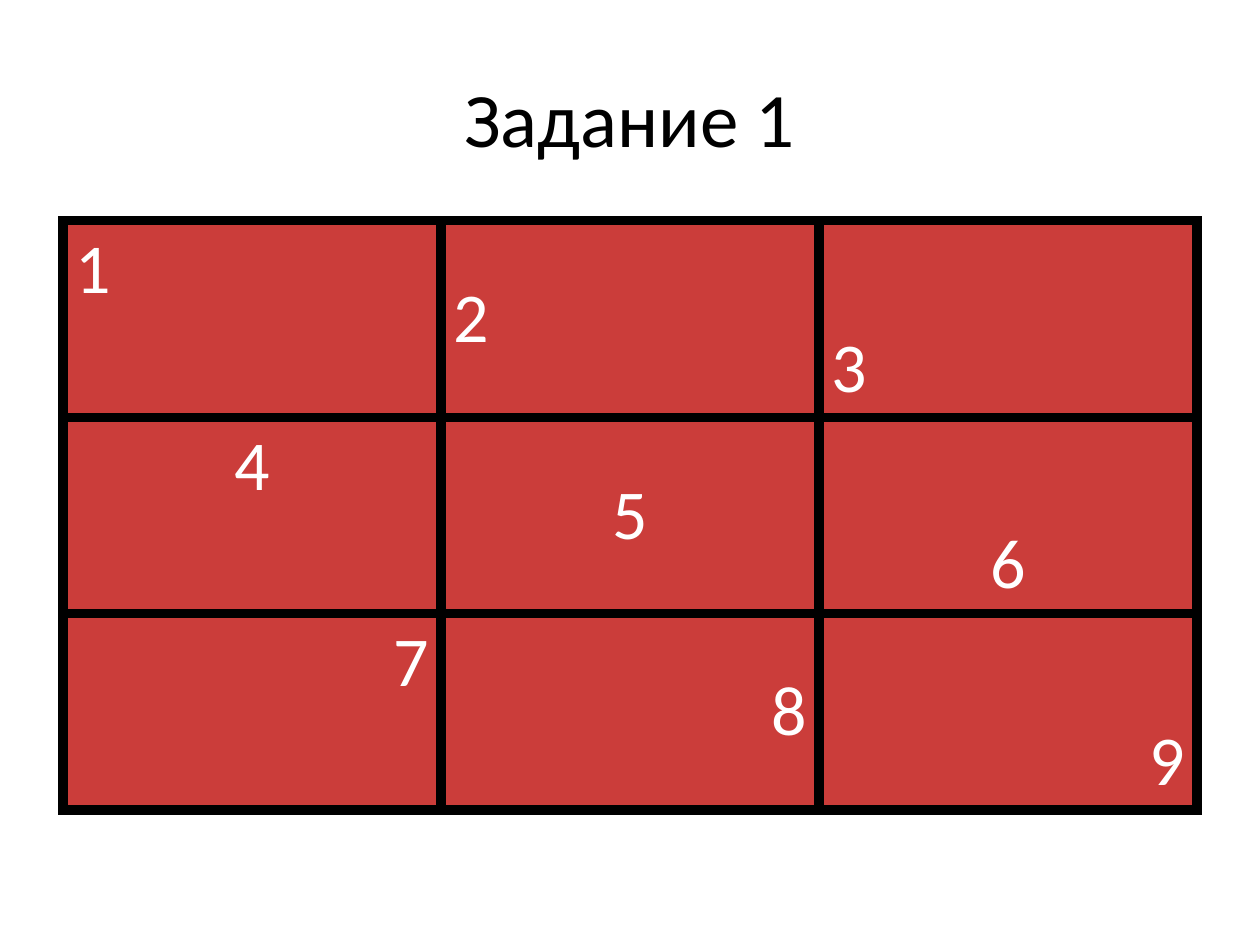
"""Build a task slide with a three by three grid of aligned numbers."""
from lxml import etree
from pptx import Presentation
from pptx import util as u
from pptx.dml.color import RGBColor
from pptx.enum import text
from pptx.oxml import ns

BLACK = RGBColor(0, 0, 0)
WHITE = RGBColor(255, 255, 255)
RED = RGBColor(0xCB, 0x3D, 0x3A)
FONT = "Calibri"
SIDES = ("lnL", "lnR", "lnT", "lnB")
ROWS = (text.PP_ALIGN.LEFT, text.PP_ALIGN.CENTER, text.PP_ALIGN.RIGHT)
COLS = (text.MSO_ANCHOR.TOP, text.MSO_ANCHOR.MIDDLE, text.MSO_ANCHOR.BOTTOM)


def add_run(para, words, size, color, align):
    para.alignment = align
    run = para.add_run()
    run.text = words
    run.font.name = FONT
    run.font.size = u.Pt(size)
    run.font.color.rgb = color


def add_edge(cell, color, width):
    props = cell._tc.get_or_add_tcPr()
    for side in SIDES:
        line = etree.SubElement(props, ns.qn(f"a:{side}"), w=str(u.Pt(width)))
        fill = etree.SubElement(line, ns.qn("a:solidFill"))
        etree.SubElement(fill, ns.qn("a:srgbClr"), val=str(color))


def set_title(slide, words):
    title = slide.shapes.title
    title.left, title.top = u.Cm(1.27), u.Cm(0.76)
    title.width, title.height = u.Cm(22.86), u.Cm(3.18)
    frame = title.text_frame
    frame.vertical_anchor = text.MSO_ANCHOR.MIDDLE
    add_run(frame.paragraphs[0], words, 44, BLACK, text.PP_ALIGN.CENTER)


def add_grid(slide):
    wide, high = u.Cm(7.62), u.Cm(3.96)
    table = slide.shapes.add_table(
        len(ROWS), len(COLS), u.Cm(1.27), u.Cm(4.45),
        wide * len(COLS), high * len(ROWS)).table
    for row, align in enumerate(ROWS):
        for col, anchor in enumerate(COLS):
            cell = table.cell(row, col)
            cell.vertical_anchor = anchor
            add_edge(cell, BLACK, 6)
            cell.fill.solid()
            cell.fill.fore_color.rgb = RED
            label = str(row * len(COLS) + col + 1)
            add_run(cell.text_frame.paragraphs[0], label, 40, WHITE, align)
            cell.text_frame.paragraphs[0].runs[0].font.bold = False


def main():
    deck = Presentation()
    deck.slide_width, deck.slide_height = u.Cm(25.4), u.Cm(19.05)
    slide = deck.slides.add_slide(deck.slide_layouts[5])
    set_title(slide, "Задание 1")
    add_grid(slide)
    deck.save("out.pptx")


main()
